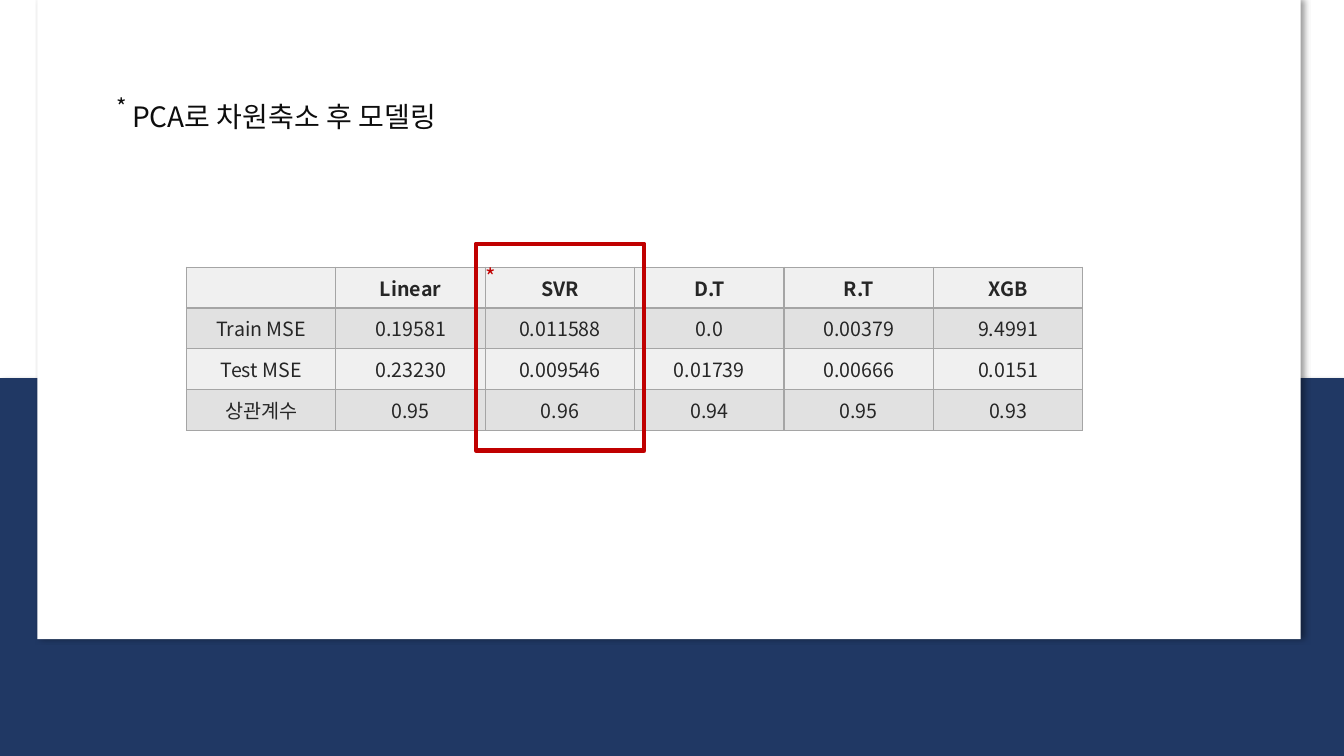
"""Build the slide on modelling after PCA reduction."""
from dataclasses import dataclass

from lxml import etree
from pptx import Presentation
from pptx.dml.color import RGBColor
from pptx.enum.shapes import MSO_SHAPE
from pptx.enum.text import MSO_ANCHOR, MSO_AUTO_SIZE, PP_ALIGN
from pptx.oxml.ns import qn
from pptx.util import Inches, Pt

RECT = MSO_SHAPE.RECTANGLE
TOP, MIDDLE = MSO_ANCHOR.TOP, MSO_ANCHOR.MIDDLE
GROW = MSO_AUTO_SIZE.SHAPE_TO_FIT_TEXT
LEFT, CENTER = PP_ALIGN.LEFT, PP_ALIGN.CENTER


@dataclass(frozen=True)
class Theme:
    """Hold the font, colours and sizes."""
    font: str = "Noto Sans CJK KR"
    white: str = "FFFFFF"
    navy: str = "203864"
    ink: str = "0D0D0D"
    gray: str = "262626"
    red: str = "C00000"
    grid: str = "A5A5A5"
    shade: str = "000000"
    bands: tuple = ("F0F0F0", "E1E1E1")
    title: int = 20
    star: int = 16
    cell: int = 14
    edge: float = 1
    frame: float = 3.25


THEME = Theme()
SCORES = [
    ["", "Linear", "SVR", "D.T", "R.T", "XGB"],
    ["Train MSE", "0.19581", "0.011588", "0.0", "0.00379", "9.4991"],
    ["Test MSE", "0.23230", "0.009546", "0.01739", "0.00666", "0.0151"],
    ["상관계수", "0.95", "0.96", "0.94", "0.95", "0.93"],
]


def paint(fill, color):
    """Make a fill solid."""
    fill.solid()
    fill.fore_color.rgb = RGBColor.from_string(color)


def add_run(par, text, size, color, bold=False):
    """Add one styled run to a paragraph."""
    run = par.add_run()
    run.text = text
    font = run.font
    font.name, font.size, font.bold = THEME.font, Pt(size), bold
    paint(font.fill, color)
    east = etree.SubElement(font._element, qn("a:ea"))
    east.set("typeface", THEME.font)


def add_rect(slide, box):
    """Add a plain rectangle."""
    rect = slide.shapes.add_shape(RECT, *map(Inches, box))
    rect.shadow.inherit = False
    return rect


def add_panel(slide, box, color, angle):
    """Add a filled panel with a soft shadow."""
    panel = add_rect(slide, box)
    paint(panel.fill, color)
    panel.line.fill.background()
    effects = panel.element.spPr.find(qn("a:effectLst"))
    shadow = etree.SubElement(
        effects, qn("a:outerShdw"), blurRad=str(Pt(4)), dist=str(Pt(3)),
        dir=str(angle * 60000), algn="tl", rotWithShape="0")
    tint = etree.SubElement(shadow, qn("a:srgbClr"), val=THEME.shade)
    etree.SubElement(tint, qn("a:alpha"), val="40000")


def add_frame(slide, box):
    """Add an open red frame."""
    frame = add_rect(slide, box)
    frame.fill.background()
    paint(frame.line.fill, THEME.red)
    frame.line.width = Pt(THEME.frame)


def add_star(slide, left, top, color):
    """Add an asterisk mark."""
    box = slide.shapes.add_textbox(*map(Inches, (left, top, 0.34, 0.37)))
    box.text_frame.word_wrap = False
    box.text_frame.auto_size = GROW
    add_run(box.text_frame.paragraphs[0], "*", THEME.star, color)


def set_title(slide, box, text):
    """Place the title above the panels."""
    title = slide.shapes.title
    title.left, title.top, title.width, title.height = map(Inches, box)
    frame = title.text_frame
    frame.vertical_anchor, frame.word_wrap = TOP, True
    frame.auto_size = GROW
    par = frame.paragraphs[0]
    par.alignment = LEFT
    add_run(par, text, THEME.title, THEME.ink)
    title.element.getparent().append(title.element)


def add_edges(cell):
    """Draw all four borders of a cell."""
    props = cell._tc.get_or_add_tcPr()
    for spot, side in enumerate("LRTB"):
        line = etree.Element(qn(f"a:ln{side}"), w=str(Pt(THEME.edge)))
        fill = etree.SubElement(line, qn("a:solidFill"))
        etree.SubElement(fill, qn("a:srgbClr"), val=THEME.grid)
        props.insert(spot, line)


def add_scores(slide, box, rows):
    """Add the score table."""
    count, width = len(rows), len(rows[0])
    table = slide.shapes.add_table(count, width, *map(Inches, box)).table
    table.first_row = table.horz_banding = False
    for y, row in enumerate(rows):
        for x, text in enumerate(row):
            cell = table.cell(y, x)
            cell.vertical_anchor = MIDDLE
            paint(cell.fill, THEME.bands[y % 2])
            add_edges(cell)
            par = cell.text_frame.paragraphs[0]
            par.alignment = CENTER
            if text:
                add_run(par, text, THEME.cell, THEME.gray, y == 0)


def main():
    """Build and save the slide."""
    deck = Presentation()
    deck.slide_width, deck.slide_height = Inches(13.33), Inches(7.5)
    slide = deck.slides.add_slide(deck.slide_layouts[5])
    paint(slide.background.fill, THEME.white)
    add_panel(slide, (0, 3.75, 13.33, 3.75), THEME.navy, 45)
    add_panel(slide, (0.37, 0, 12.53, 6.34), THEME.white, 0)
    add_scores(slide, (1.85, 2.65, 8.89, 1.62), SCORES)
    set_title(slide, (1.21, 0.94, 4.08, 0.44), "PCA로 차원축소 후 모델링")
    add_star(slide, 1.06, 0.87, THEME.ink)
    add_frame(slide, (4.72, 2.42, 1.67, 2.05))
    add_star(slide, 4.72, 2.56, THEME.red)
    deck.save("out.pptx")


if __name__ == "__main__":
    main()
